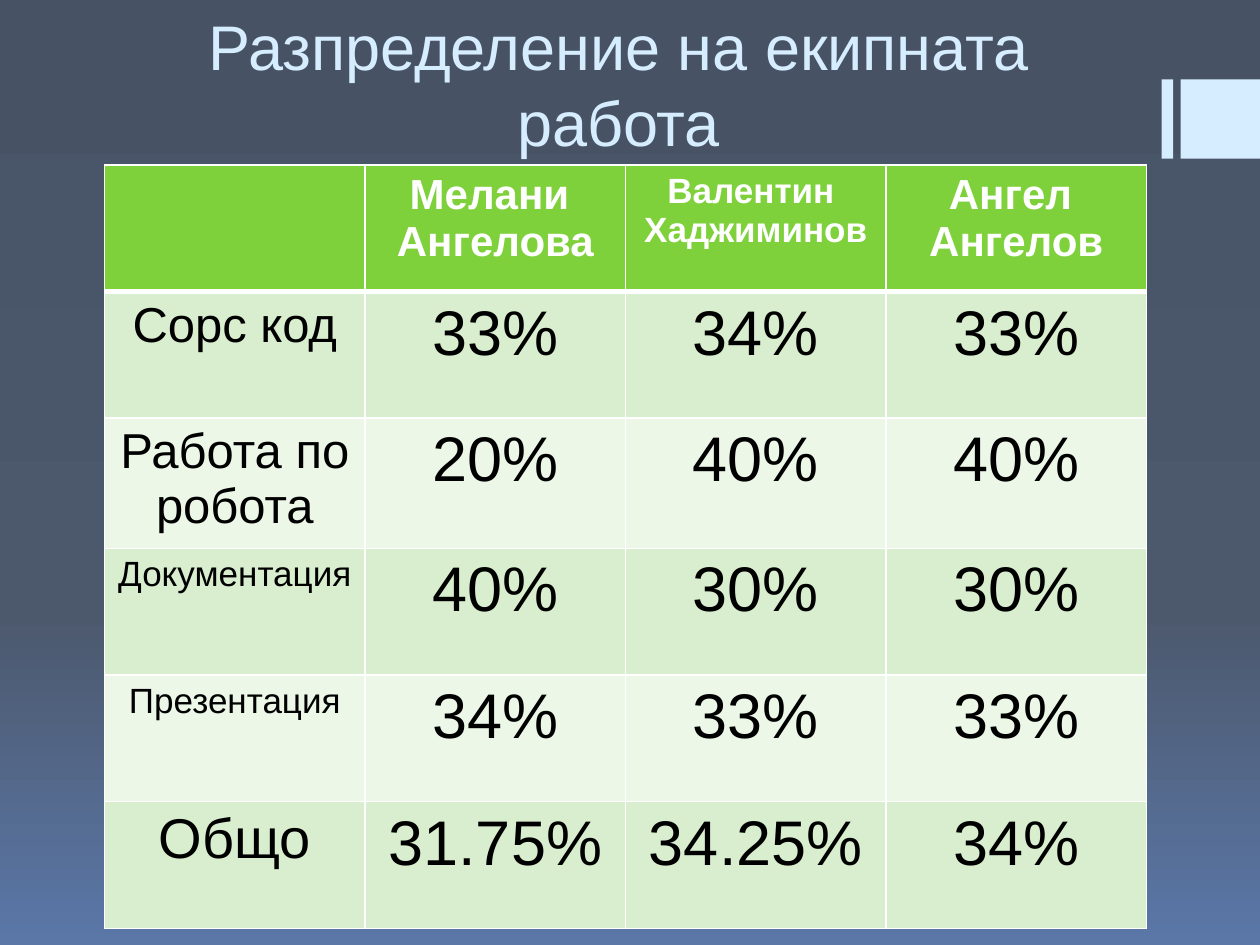
from copy import deepcopy

from lxml.etree import SubElement
from pptx import Presentation
from pptx.dml.color import RGBColor
from pptx.enum.shapes import MSO_SHAPE as Shape
from pptx.enum.text import MSO_ANCHOR as Anchor, PP_ALIGN as Align
from pptx.oxml.ns import qn
from pptx.util import Inches, Pt

WHITE = RGBColor(0xFF, 0xFF, 0xFF)
BLACK = RGBColor(0x00, 0x00, 0x00)
PALE_BLUE = RGBColor(0xD6, 0xEC, 0xFF)
HEADER_GREEN = RGBColor(0x7F, 0xD1, 0x3B)
BANDS = (RGBColor(0xEC, 0xF7, 0xE8), RGBColor(0xD8, 0xEE, 0xCE))
BACKGROUND = (
    (0, RGBColor(0x47, 0x53, 0x65)),
    (0.65, RGBColor(0x4C, 0x59, 0x6D)),
    (1, RGBColor(0x5B, 0x77, 0xA8)),
)

HEADERS = (("", 24), ("Мелани \nАнгелова", 24),
           ("Валентин \nХаджиминов", 20), ("Ангел \nАнгелов", 24))
TASKS = (
    ("Сорс код", 28, ("33%", "34%", "33%")),
    ("Работа по робота", 28, ("20%", "40%", "40%")),
    ("Документация", 20, ("40%", "30%", "30%")),
    ("Презентация", 20, ("34%", "33%", "33%")),
    ("Общо", 32, ("31.75%", "34.25%", "34%")),
)
SHARE_SIZE = 36


class SlideBuilder:
    font_name = "Arial"

    def __init__(self, slide):
        self.slide = slide

    def background(self, stops):
        """Fill the background with a gradient running from top to bottom."""
        fill = self.slide.background.fill
        fill.gradient()
        fill.gradient_angle = 270
        stop_list = next(self.slide.element.iter(qn("a:gsLst")))
        for _ in range(len(stops) - len(stop_list)):
            stop_list.append(deepcopy(stop_list[0]))
        for stop, (position, color) in zip(fill.gradient_stops, stops):
            stop.position = position
            stop.color.rgb = color

    def rectangle(self, left, top, width, height, color):
        shape = self.slide.shapes.add_shape(
            Shape.RECTANGLE, Inches(left), Inches(top), Inches(width), Inches(height))
        shape.shadow.inherit = False
        shape.fill.solid()
        shape.fill.fore_color.rgb = color
        shape.line.fill.background()

    def fill_text(self, frame, text, size, color, bold=False):
        frame.text = text
        style = {"name": self.font_name, "size": Pt(size), "bold": bold}
        for paragraph in frame.paragraphs:
            paragraph.alignment = Align.CENTER
            for run in paragraph.runs:
                for attribute, value in style.items():
                    setattr(run.font, attribute, value)
                run.font.color.rgb = color

    def title(self, left, top, width, height, text, size, color):
        box = self.slide.shapes.add_textbox(
            Inches(left), Inches(top), Inches(width), Inches(height))
        frame = box.text_frame
        frame.word_wrap = True
        frame.vertical_anchor = Anchor.BOTTOM
        self.fill_text(frame, text, size, color)

    def borders(self, cell, color, widths):
        """Draw the cell's sides; widths maps L, R, T and B to points."""
        properties = cell._tc.get_or_add_tcPr()
        for index, (side, width) in enumerate(widths.items()):
            line = SubElement(properties, qn(f"a:ln{side}"), w=str(Pt(width)))
            solid = SubElement(line, qn("a:solidFill"))
            SubElement(solid, qn("a:srgbClr"), val=str(color))
            properties.insert(index, line)

    def table(self, left, top, width, height, headers, tasks):
        grid = [[(text, size, WHITE, True) for text, size in headers]]
        for task, size, shares in tasks:
            grid.append([(task, size, BLACK)]
                        + [(share, SHARE_SIZE, BLACK) for share in shares])
        table = self.slide.shapes.add_table(
            len(grid), len(headers), Inches(left), Inches(top),
            Inches(width), Inches(height)).table
        for row_index, row in enumerate(grid):
            fill_color = BANDS[row_index % 2] if row_index else HEADER_GREEN
            widths = {"L": 1, "R": 1,
                      "T": 3 if row_index == 1 else 1,
                      "B": 3 if row_index == 0 else 1}
            for column_index, content in enumerate(row):
                cell = table.cell(row_index, column_index)
                cell.fill.solid()
                cell.fill.fore_color.rgb = fill_color
                self.fill_text(cell.text_frame, *content)
                self.borders(cell, WHITE, widths)


def main():
    presentation = Presentation()
    presentation.slide_width = Inches(10)
    presentation.slide_height = Inches(7.5)
    builder = SlideBuilder(presentation.slides.add_slide(presentation.slide_layouts[6]))
    builder.background(BACKGROUND)
    for left, width in ((9.22, 0.09), (9.37, 0.63)):
        builder.rectangle(left, 0.63, width, 0.63, PALE_BLUE)
    builder.title(0.91, 0.13, 8, 1.18, "Разпределение на екипната работа", 36, PALE_BLUE)
    builder.table(0.83, 1.31, 8.27, 6.03, HEADERS, TASKS)
    presentation.save("out.pptx")


if __name__ == "__main__":
    main()
